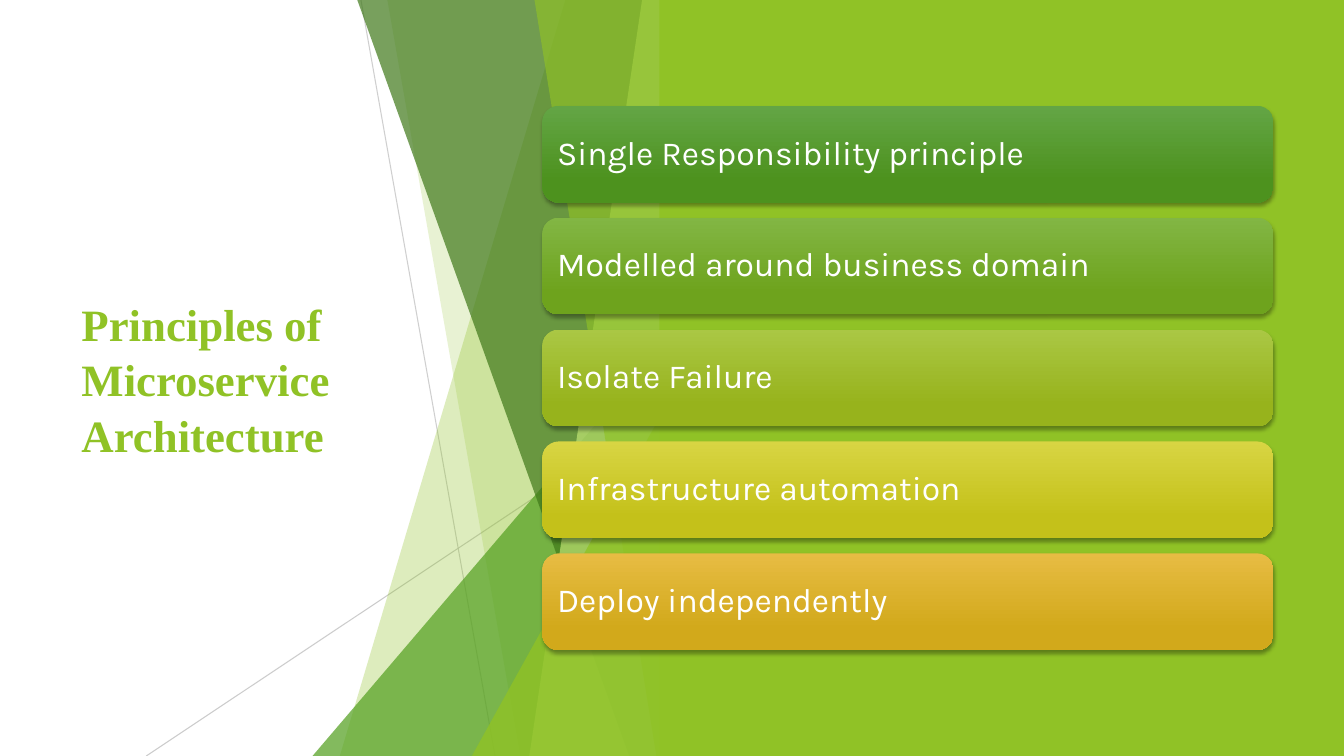
from dataclasses import dataclass
from typing import Any

from lxml.etree import SubElement
from pptx import Presentation
from pptx.dml.color import RGBColor
from pptx.enum.shapes import MSO_CONNECTOR, MSO_SHAPE
from pptx.enum.text import MSO_ANCHOR
from pptx.oxml.ns import qn
from pptx.util import Inches, Pt

WHITE = RGBColor(0xFF, 0xFF, 0xFF)
GREY = RGBColor(0xBF, 0xBF, 0xBF)
LIME = RGBColor(0x90, 0xC2, 0x26)
PALE_LIME = RGBColor(0xC0, 0xE4, 0x74)
GREEN = RGBColor(0x54, 0xA0, 0x21)
DARK_GREEN = RGBColor(0x3F, 0x78, 0x19)

SLIDE_WIDTH, SLIDE_HEIGHT = 13.33, 7.5
FACET_TOP, FACET_RIGHT = -0.01, 6.66
PANEL_LEFT = 6.54
BAR_LEFT, BAR_TOP, BAR_WIDTH, BAR_HEIGHT, BAR_GAP = 5.38, 1.05, 7.25, 0.96, 0.15

TITLE_FONT = {"name": "Times New Roman", "size": Pt(32), "bold": True}
BAR_FONT = {"name": "Karla", "size": Pt(24), "bold": False}
BAR_FRAME = {
    "word_wrap": True,
    "vertical_anchor": MSO_ANCHOR.MIDDLE,
    "margin_left": Inches(0.1),
    "margin_right": Inches(0.1),
    "margin_top": Inches(0.1),
    "margin_bottom": Inches(0.1),
}
TITLE_FRAME = {"word_wrap": True, "vertical_anchor": MSO_ANCHOR.MIDDLE}


@dataclass
class Ray:
    """A thin grey line behind the facets."""
    start: tuple[float, float]
    end: tuple[float, float]
    opacity: int


@dataclass
class Facet:
    """A translucent band from the slide's top edge to its bottom edge."""
    top_left: float
    bottom_left: float
    color: RGBColor
    opacity: int


@dataclass
class Wedge:
    """A translucent right triangle rising to the right."""
    left: float
    top: float
    color: RGBColor
    opacity: int


@dataclass
class Bar:
    """One principle on a gradient bar."""
    text: str
    light: RGBColor
    deep: RGBColor


RAYS = [
    Ray((3.58, 0), (4.91, 7.5), 75),
    Ray((6.66, 4.03), (1.45, 7.5), 80),
]
FACETS = [
    Facet(5.61, 3.37, LIME, 30),
    Facet(3.84, 5.16, LIME, 20),
    Wedge(3.1, 3.33, GREEN, 72),
    Facet(3.54, 6.24, DARK_GREEN, 70),
    Facet(6.37, 5.25, PALE_LIME, 70),
    Facet(5.3, 6.51, LIME, 65),
    Wedge(4.68, 3.93, LIME, 80),
]
BARS = [
    Bar("Single Responsibility principle", RGBColor(0x63, 0xA5, 0x45), RGBColor(0x4D, 0x92, 0x1E)),
    Bar("Modelled around business domain", RGBColor(0x82, 0xB6, 0x44), RGBColor(0x6E, 0xA3, 0x1D)),
    Bar("Isolate Failure", RGBColor(0xAA, 0xC7, 0x44), RGBColor(0x97, 0xB3, 0x1C)),
    Bar("Infrastructure automation", RGBColor(0xD8, 0xD5, 0x43), RGBColor(0xC4, 0xC1, 0x1A)),
    Bar("Deploy independently", RGBColor(0xE7, 0xBC, 0x43), RGBColor(0xD2, 0xA9, 0x1B)),
]


def apply_format(target: Any, values: dict[str, Any]) -> None:
    """Set each named attribute on the target."""
    for name, value in values.items():
        setattr(target, name, value)


def set_opacity(shape: Any, percent: int) -> None:
    """Make the shape's solid fill or line colour translucent."""
    for color in shape._element.spPr.iter(qn("a:srgbClr")):
        SubElement(color, qn("a:alpha"), val=str(percent * 1000))


def paint(shape: Any, color: RGBColor, opacity: int = 100) -> None:
    """Give the shape a flat fill with no outline or shadow."""
    shape.shadow.inherit = False
    shape.fill.solid()
    shape.fill.fore_color.rgb = color
    shape.line.fill.background()
    if opacity < 100:
        set_opacity(shape, opacity)


def write(frame: Any, text: str, frame_format: dict[str, Any],
          font_format: dict[str, Any], color: RGBColor, spacing: float) -> None:
    """Write one formatted paragraph into a text frame."""
    apply_format(frame, frame_format)
    paragraph = frame.paragraphs[0]
    paragraph.line_spacing = spacing
    run = paragraph.add_run()
    run.text = text
    apply_format(run.font, font_format)
    run.font.color.rgb = color


def draw_ray(shapes: Any, ray: Ray) -> None:
    """Draw a thin line."""
    points = [Inches(value) for value in (*ray.start, *ray.end)]
    connector = shapes.add_connector(MSO_CONNECTOR.STRAIGHT, *points)
    connector.line.color.rgb = GREY
    connector.line.width = Pt(0.75)
    set_opacity(connector, ray.opacity)
    SubElement(connector._element.spPr, qn("a:effectLst"))


def draw_facet(shapes: Any, facet: Facet) -> None:
    """Draw a four-sided band."""
    corners = [(facet.top_left, FACET_TOP), (FACET_RIGHT, FACET_TOP),
               (FACET_RIGHT, SLIDE_HEIGHT), (facet.bottom_left, SLIDE_HEIGHT)]
    points = [(Inches(x), Inches(y)) for x, y in corners]
    builder = shapes.build_freeform(*points[0])
    builder.add_line_segments(points[1:], close=True)
    paint(builder.convert_to_shape(), facet.color, facet.opacity)


def draw_wedge(shapes: Any, wedge: Wedge) -> None:
    """Draw a triangle with its apex at the right."""
    shape = shapes.add_shape(
        MSO_SHAPE.ISOSCELES_TRIANGLE, Inches(wedge.left), Inches(wedge.top),
        Inches(FACET_RIGHT - wedge.left), Inches(SLIDE_HEIGHT - wedge.top))
    shape.adjustments[0] = 1
    paint(shape, wedge.color, wedge.opacity)


def add_bar_shadow(shape: Any) -> None:
    """Add a soft shadow falling straight down."""
    shape.shadow.inherit = False
    effects = shape._element.spPr.find(qn("a:effectLst"))
    shadow = SubElement(effects, qn("a:outerShdw"), blurRad=str(Pt(3)), dist=str(Pt(2)),
                        dir="5400000", rotWithShape="0")
    color = SubElement(shadow, qn("a:srgbClr"), val="000000")
    SubElement(color, qn("a:alpha"), val="35000")


def draw_bar(shapes: Any, bar: Bar, top: float) -> None:
    """Draw a rounded gradient bar with its principle."""
    shape = shapes.add_shape(MSO_SHAPE.ROUNDED_RECTANGLE, Inches(BAR_LEFT), Inches(top),
                             Inches(BAR_WIDTH), Inches(BAR_HEIGHT))
    shape.fill.gradient()
    shape.fill.gradient_angle = 270
    for stop, color, position in zip(shape.fill.gradient_stops, (bar.light, bar.deep), (0, 0.78)):
        stop.color.rgb = color
        stop.position = position
    shape.line.fill.background()
    add_bar_shadow(shape)
    write(shape.text_frame, bar.text, BAR_FRAME, BAR_FONT, WHITE, 0.9)
    shape.text_frame.paragraphs[0].alignment = 1


def main() -> None:
    """Build and save the slide."""
    presentation = Presentation()
    presentation.slide_width = Inches(SLIDE_WIDTH)
    presentation.slide_height = Inches(SLIDE_HEIGHT)
    slide = presentation.slides.add_slide(presentation.slide_layouts[6])

    title = slide.shapes.add_textbox(Inches(0.71), Inches(1.51), Inches(3.88), Inches(4.48))
    write(title.text_frame, "Principles of Microservice Architecture",
          TITLE_FRAME, TITLE_FONT, LIME, 1.04)

    backdrop = slide.shapes.add_group_shape().shapes
    for ray in RAYS:
        draw_ray(backdrop, ray)
    for facet in FACETS:
        draw = draw_wedge if isinstance(facet, Wedge) else draw_facet
        draw(backdrop, facet)

    panel = slide.shapes.add_shape(MSO_SHAPE.RECTANGLE, Inches(PANEL_LEFT), 0,
                                   Inches(SLIDE_WIDTH - PANEL_LEFT), Inches(SLIDE_HEIGHT))
    paint(panel, LIME)
    for index, bar in enumerate(BARS):
        draw_bar(slide.shapes, bar, BAR_TOP + index * (BAR_HEIGHT + BAR_GAP))
    presentation.save("out.pptx")


main()
